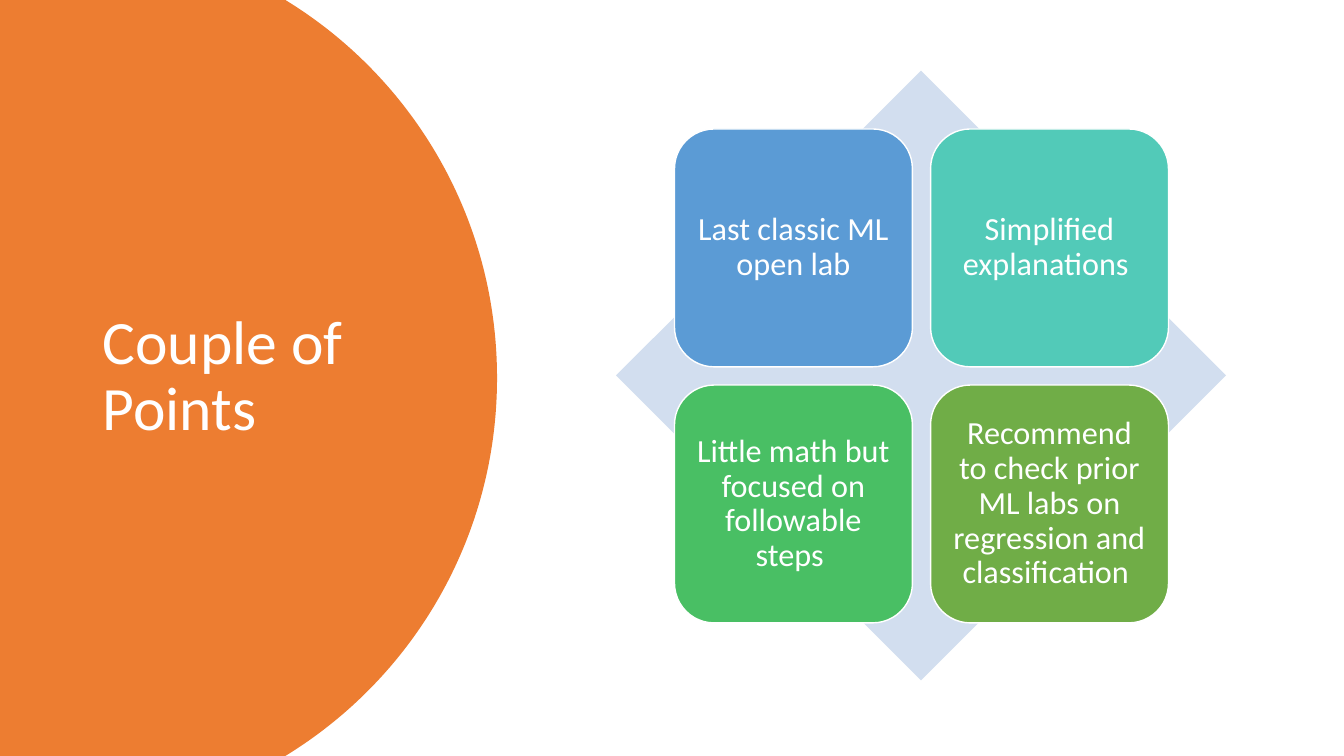
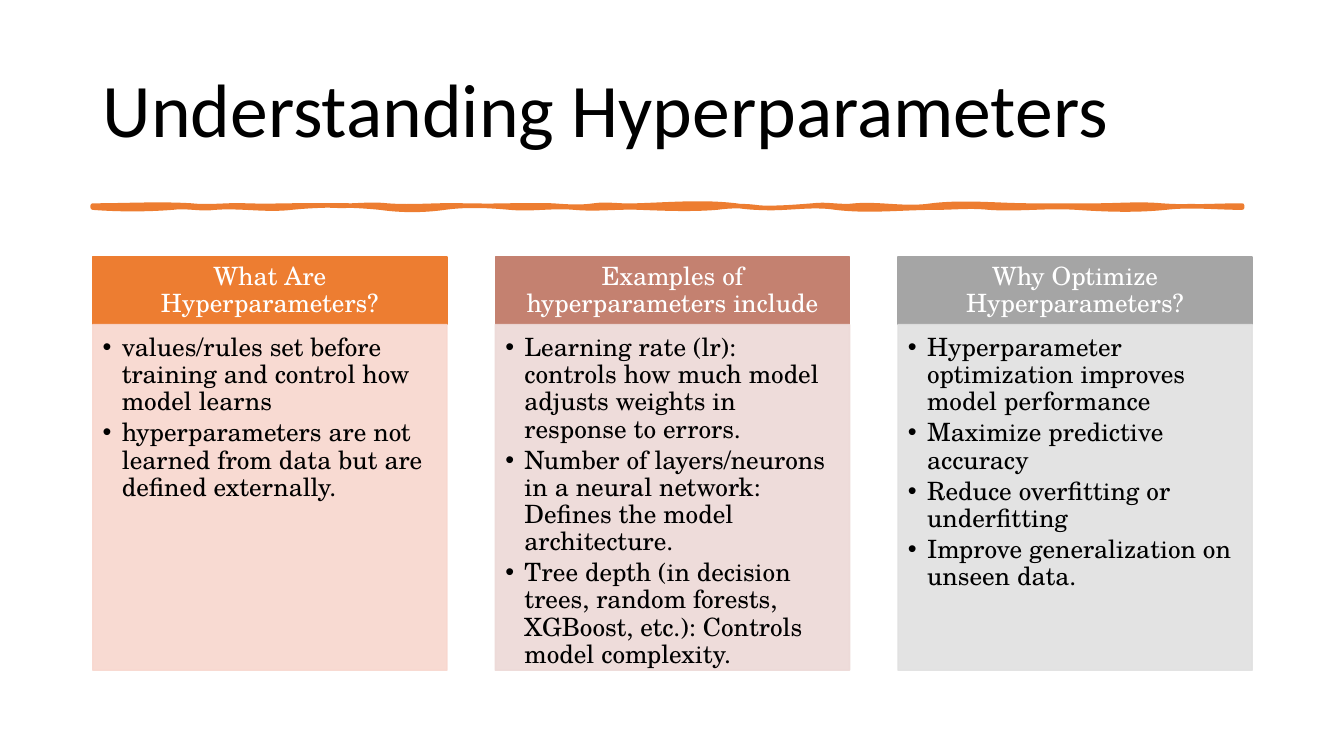
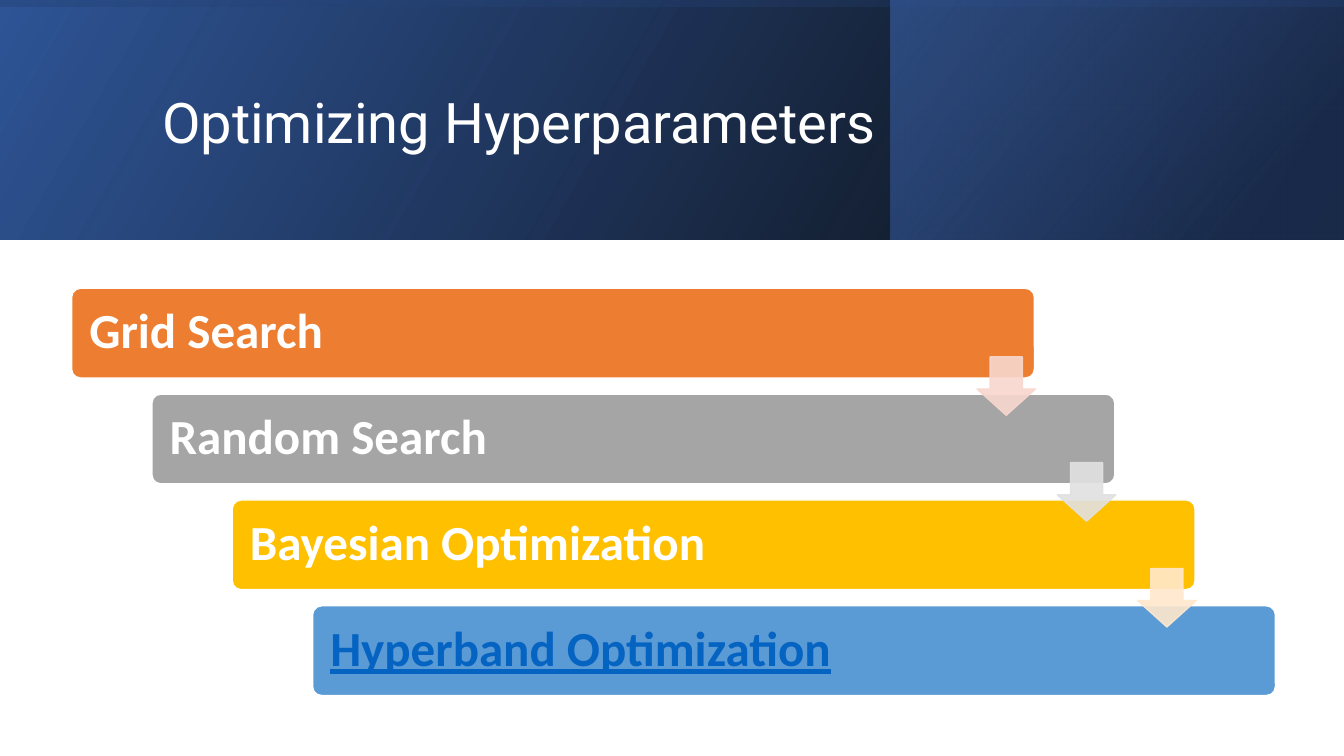
"""Build three slides introducing hyperparameters and ways to optimize them."""
from dataclasses import dataclass

from lxml.etree import SubElement
from pptx import Presentation
from pptx.dml.color import RGBColor
from pptx.enum.shapes import MSO_SHAPE as Preset
from pptx.enum.text import MSO_ANCHOR as Anchor, PP_ALIGN as Align
from pptx.oxml.ns import qn
from pptx.util import Inches, Pt


@dataclass(frozen=True)
class Theme:
    sans: str = "Calibri"
    serif: str = "TeX Gyre Schola"
    modern: str = "Roboto"
    bullet: str = "Arial"
    white: str = "FFFFFF"
    black: str = "000000"
    orange: str = "ED7D31"
    gray: str = "A5A5A5"
    gold: str = "FFC000"
    blue: str = "5B9BD5"
    teal: str = "52CAB8"
    green: str = "49BF64"
    olive: str = "70AD47"
    clay: str = "C48170"
    pale_blue: str = "D2DEEF"
    pale_orange: str = "F8D7CE"
    pale_clay: str = "EDD9D7"
    pale_gray: str = "E1E1E1"
    pale_gold: str = "FFE8CC"
    link: str = "0563C1"
    navy: str = "2F5597"
    deep_navy: str = "203864"
    royal: str = "4472C4"
    side_title: int = 44
    main_title: int = 54
    band_title: int = 40
    tile: int = 23
    column: int = 18
    step: int = 35


THEME = Theme()
WIDTH, HEIGHT = 13.33, 7.5

TILES = [
    ("Last classic ML open lab", THEME.blue),
    ("Simplified explanations ", THEME.teal),
    ("Little math but focused on followable steps ", THEME.green),
    ("Recommend to check prior ML labs on regression and classification ", THEME.olive),
]

COLUMNS = [
    ("What Are Hyperparameters?", THEME.orange, THEME.pale_orange, [
        "values/rules set before training and control how model learns",
        "hyperparameters are not learned from data but are defined externally.",
    ]),
    ("Examples of hyperparameters include", THEME.clay, THEME.pale_clay, [
        "Learning rate (lr): controls how much model adjusts weights in response to errors.",
        "Number of layers/neurons in a neural network: Defines the model architecture.",
        "Tree depth (in decision trees, random forests, XGBoost, etc.): Controls model complexity.",
    ]),
    ("Why Optimize Hyperparameters?", THEME.gray, THEME.pale_gray, [
        "Hyperparameter optimization improves model performance",
        "Maximize predictive accuracy",
        "Reduce overfitting or underfitting",
        "Improve generalization on unseen data.",
    ]),
]

STEPS = [
    ("Grid Search", THEME.orange, THEME.white),
    ("Random Search", THEME.gray, THEME.white),
    ("Bayesian Optimization", THEME.gold, THEME.white),
    ("Hyperband Optimization", THEME.blue, THEME.link),
]
ARROWS = [THEME.pale_orange, THEME.pale_gray, THEME.pale_gold]

BAND_LAYERS = [
    ((0, 0, WIDTH, 2.38), 0, 330, [(0, THEME.black, 96), (100, THEME.navy, 100)]),
    ((8.83, 0, 4.5, 2.38), 0, 320, [(19, THEME.deep_navy, 68), (100, THEME.royal, 48)]),
    ((5.48, -5.48, 2.38, WIDTH), 270, 350, [(23, THEME.navy, 16), (99, THEME.black, 45)]),
]

SIDE_CURVE = [
    [(2.83, 0)],
    [(4.09, 0.77), (4.93, 2.16), (4.93, 3.75)],
    [(4.93, 5.34), (4.09, 6.73), (2.83, HEIGHT)],
    [(0, HEIGHT)],
]

BRUSH_START, BRUSH_END = 0.92, 12.32
BRUSH_TOP = [
    (1.9, 0, -2), (2.44, 2, -1), (3.31, 1, -1), (3.84, 1, -2),
    (4.6, 2, -1), (5.48, 1, -1), (5.89, 1, 2), (6.31, -2, 1),
    (7.3, -1, -4), (8.06, 4, 2), (8.48, -2, 2), (9.24, -2, 4),
    (10.23, -4, 0), (10.87, 0, 0), (11.52, 0, -2), (BRUSH_END, 2, 0),
]
BRUSH_BOTTOM = [
    (11.56, 0, -3), (10.68, 3, 2), (9.81, -2, 2), (9.28, -2, 0),
    (8.29, 0, 4), (7.53, -4, 2), (7.11, -2, -2), (6.35, 2, 1),
    (5.7, -1, 2), (5.06, -2, 2), (4.41, -2, -3), (3.77, 3, 3),
    (2.89, -3, -3), (2.13, 3, -2), (1.71, 2, -2), (BRUSH_START, 2, 2),
]


def rgb(value):
    return RGBColor.from_string(value)


def set_alpha(color_parent, percent):
    for color in color_parent.iter(qn("a:srgbClr")):
        SubElement(color, qn("a:alpha")).set("val", str(percent * 1000))


def paint(shape, fill, line=None, line_width=1, alpha=100):
    shape.shadow.inherit = False
    shape.fill.solid()
    shape.fill.fore_color.rgb = rgb(fill)
    if line:
        shape.line.color.rgb = rgb(line)
        shape.line.width = Pt(line_width)
    else:
        shape.line.fill.background()
    if alpha < 100:
        set_alpha(shape._element.spPr, alpha)


def add_preset(page, preset, place, fill, line=None, alpha=100, adjustments=()):
    shape = page.shapes.add_shape(preset, *map(Inches, place))
    for index, value in enumerate(adjustments):
        shape.adjustments[index] = value
    paint(shape, fill, line, alpha=alpha)
    return shape


def add_outline(page, start, segments, fill, line=None, line_width=1):
    builder = page.shapes.build_freeform(*map(Inches, start))
    builder.add_line_segments(
        [(Inches(x), Inches(y)) for segment in segments for x, y in segment], close=True)
    shape = builder.convert_to_shape()
    sides = iter(list(shape._element.iter(qn("a:lnTo"))))
    for segment in segments:
        first, *others = [next(sides) for _ in segment]
        if others:
            curve = SubElement(first.getparent(), qn("a:cubicBezTo"))
            first.addprevious(curve)
            for side in (first, *others):
                curve.append(side[0])
                side.getparent().remove(side)
    paint(shape, fill, line, line_width)


def add_bullet(para):
    properties = para._p.get_or_add_pPr()
    properties.set("marL", str(Inches(0.19)))
    properties.set("indent", str(-Inches(0.19)))
    SubElement(properties, qn("a:buFont")).set("typeface", THEME.bullet)
    SubElement(properties, qn("a:buChar")).set("char", "•")


def write(box, lines, font, size, color, align=Align.LEFT, anchor=Anchor.MIDDLE,
          insets=(0.1, 0.05, 0.1, 0.05), bold=False, underline=False, bullets=False):
    frame = box.text_frame
    frame.text = "\n".join(lines)
    frame.word_wrap = True
    frame.vertical_anchor = anchor
    (frame.margin_left, frame.margin_top,
     frame.margin_right, frame.margin_bottom) = map(Inches, insets)
    for para in frame.paragraphs:
        para.alignment = align
        para.line_spacing = 0.9
        if bullets:
            para.space_after = Pt(2.7)
            add_bullet(para)
        for span in para.runs:
            span.font.name = font
            span.font.size = Pt(size)
            span.font.bold = bold
            span.font.underline = underline
            span.font.color.rgb = rgb(color)


def add_title(page, text, place, font, size, color):
    write(page.shapes.add_textbox(*map(Inches, place)), [text], font, size, color)


def wave_segments(start, base, waves):
    segments = []
    for end, first, second in waves:
        third = (end - start) / 3
        segments.append([(start + third, base + first / 100),
                         (end - third, base + second / 100), (end, base)])
        start = end
    return segments


def add_gradient(page, place, rotation, angle, stops):
    layer = page.shapes.add_shape(Preset.RECTANGLE, *map(Inches, place))
    layer.shadow.inherit = False
    layer.line.fill.background()
    layer.rotation = rotation
    layer._element.spPr.find(qn("a:xfrm")).set("flipH", "1")
    layer.fill.gradient()
    layer.fill.gradient_angle = 360 - angle
    for stop, (position, color, alpha) in zip(layer.fill.gradient_stops, stops):
        stop.position = position / 100
        stop.color.rgb = rgb(color)
        set_alpha(stop._gs, alpha)


def build_points(page):
    add_outline(page, (0, 0), SIDE_CURVE, THEME.orange)
    add_title(page, "Couple of Points", (0.92, 0.7, 3.23, 6.09),
              THEME.sans, THEME.side_title, THEME.white)
    add_preset(page, Preset.DIAMOND, (6.11, 0.7, 6.05, 6.05), THEME.pale_blue)
    side, pitch = 2.36, 2.54
    for index, (text, color) in enumerate(TILES):
        row, column = divmod(index, 2)
        place = (6.69 + column * pitch, 1.28 + row * pitch, side, side)
        tile = add_preset(page, Preset.ROUNDED_RECTANGLE, place, color, THEME.white)
        write(tile, [text], THEME.sans, THEME.tile, THEME.white, Align.CENTER,
              insets=(0.1,) * 4)


def build_columns(page):
    left, span, gap = 0.92, 11.5, 0.48
    add_title(page, "Understanding Hyperparameters", (left, 0.4, span, 1.45),
              THEME.sans, THEME.main_title, THEME.black)
    brush = [*wave_segments(BRUSH_START, 2.04, BRUSH_TOP), [(BRUSH_END, 2.06)],
             *wave_segments(BRUSH_END, 2.06, BRUSH_BOTTOM)]
    add_outline(page, (BRUSH_START, 2.04), brush, THEME.orange, THEME.orange, 3.25)
    width = (span - gap * (len(COLUMNS) - 1)) / len(COLUMNS)
    for index, (heading, color, pale, lines) in enumerate(COLUMNS):
        x = left + index * (width + gap)
        header = add_preset(page, Preset.RECTANGLE, (x, 2.55, width, 0.67), color, color)
        write(header, [heading], THEME.serif, THEME.column, THEME.white, Align.CENTER,
              insets=(0.14, 0.08, 0.14, 0.08))
        body = add_preset(page, Preset.RECTANGLE, (x, 3.22, width, 3.43), pale, pale, 90)
        write(body, lines, THEME.serif, THEME.column, THEME.black, anchor=Anchor.TOP,
              insets=(0.1, 0.1, 0.14, 0.16), bullets=True)


def build_steps(page):
    for layer in BAND_LAYERS:
        add_gradient(page, *layer)
    add_title(page, "Optimizing Hyperparameters", (1.51, 0.38, 10.63, 1.72),
              THEME.modern, THEME.band_title, THEME.white)
    left, right, width, drop = 0.71, 12.65, 9.55, 1.05
    shift = (right - left - width) / (len(STEPS) - 1)
    for index, (text, fill, color) in enumerate(STEPS):
        place = (left + index * shift, 2.86 + index * drop, width, 0.89)
        bar = add_preset(page, Preset.ROUNDED_RECTANGLE, place, fill, THEME.white,
                         adjustments=(0.1,))
        write(bar, [text], THEME.sans, THEME.step, color, insets=(0.15,) * 4,
              bold=True, underline=color == THEME.link)
    for index, color in enumerate(ARROWS):
        place = (9.69 + index * shift, 3.54 + index * drop, 0.58, 0.58)
        add_preset(page, Preset.DOWN_ARROW, place, color, color, 90, (0.55, 0.45))


def main():
    deck = Presentation()
    deck.slide_width, deck.slide_height = Inches(WIDTH), Inches(HEIGHT)
    for build in (build_points, build_columns, build_steps):
        build(deck.slides.add_slide(deck.slide_layouts[6]))
    deck.save("out.pptx")


if __name__ == "__main__":
    main()
